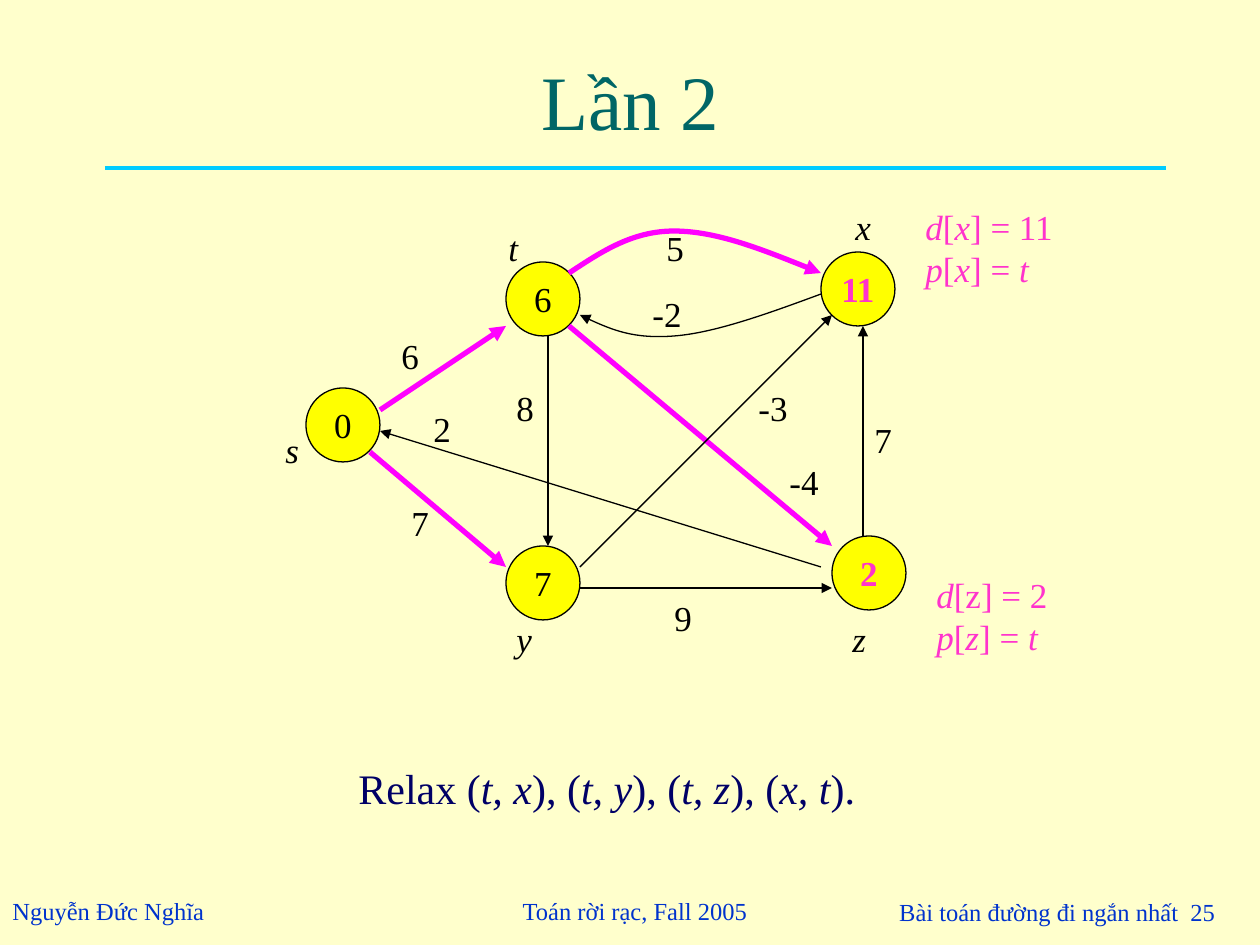
from lxml import etree
from pptx import Presentation
from pptx.dml.color import RGBColor
from pptx.enum.shapes import MSO_CONNECTOR as CONNECTOR, MSO_SHAPE as SHAPE
from pptx.enum.text import MSO_ANCHOR as ANCHOR, MSO_AUTO_SIZE as AUTO_SIZE, PP_ALIGN as ALIGN
from pptx.oxml.ns import qn
from pptx.util import Inches, Pt

PX = 914400 // 126
FONT = "Times New Roman"
CREAM = RGBColor(0xFF, 0xFF, 0xCC)
TEAL = RGBColor(0x00, 0x66, 0x66)
CYAN = RGBColor(0x00, 0xCC, 0xFF)
BLUE = RGBColor(0x00, 0x33, 0xCC)
NAVY = RGBColor(0x00, 0x00, 0x66)
YELLOW = RGBColor(0xFF, 0xFF, 0x00)
MAGENTA = RGBColor(0xFF, 0x00, 0xFF)
PINK = RGBColor(0xFF, 0x33, 0xCC)
BLACK = RGBColor(0x00, 0x00, 0x00)


def write(shape, text, size, colour, align=ALIGN.LEFT, anchor=ANCHOR.TOP, bold=False):
    """Fill a shape with text; parts between asterisks are italic."""
    frame = shape.text_frame
    frame.word_wrap = False
    frame.auto_size = AUTO_SIZE.NONE
    frame.vertical_anchor = anchor
    frame.text = text.replace("*", "")
    for para, line in zip(frame.paragraphs, text.split("\n")):
        para.text = ""
        para.alignment = align
        for index, part in enumerate(line.split("*")):
            if not part:
                continue
            span = para.add_run()
            span.text = part
            span.font.name = FONT
            span.font.size = Pt(size)
            span.font.color.rgb = colour
            span.font.bold = bold
            span.font.italic = index % 2 == 1


def stroke(shape, colour, width, arrow=None):
    """Style an edge; arrow is "headEnd" or "tailEnd"."""
    shape.line.color.rgb = colour
    shape.line.width = Pt(width)
    properties = shape.element.spPr
    if arrow:
        etree.SubElement(properties.find(qn("a:ln")), qn(f"a:{arrow}"), type="triangle")
    if properties.find(qn("a:effectLst")) is None:
        etree.SubElement(properties, qn("a:effectLst"))


deck = Presentation()
deck.slide_width, deck.slide_height = Inches(10), Inches(7.5)
page = deck.slides.add_slide(deck.slide_layouts[5])
page.background.fill.solid()
page.background.fill.fore_color.rgb = CREAM
shapes = page.shapes

# Title and rule
title = shapes.title
title.left, title.top, title.width, title.height = [v * PX for v in (95, 21, 1071, 158)]
write(title, "Lần 2", 44, TEAL, ALIGN.CENTER, ANCHOR.MIDDLE)
title.text_frame.word_wrap = True
rule = shapes.add_connector(CONNECTOR.STRAIGHT, *[v * PX for v in (105, 168, 1166, 168)])
stroke(rule, CYAN, 2.25)

# Vertices: left, top, distance, colour
for left, top, distance, colour in [
    (306, 388, "0", BLACK),
    (832, 536, "2", PINK),
    (506, 546, "7", BLACK),
    (821, 252, "11", PINK),
    (506, 262, "6", BLACK),
]:
    vertex = shapes.add_shape(SHAPE.OVAL, *[v * PX for v in (left, top, 74, 74)])
    vertex.shadow.inherit = False
    vertex.fill.solid()
    vertex.fill.fore_color.rgb = YELLOW
    vertex.line.color.rgb = BLACK
    vertex.line.width = Pt(0.75)
    write(vertex, distance, 20, colour, ALIGN.CENTER, ANCHOR.MIDDLE, colour == PINK)

# Straight edges; those of the current tree are thick
TREE, PLAIN = (MAGENTA, 3), (BLACK, 0.75)
for ends, style in [
    ((380, 410, 506, 326), TREE),
    ((370, 452, 506, 567), TREE),
    ((569, 326, 832, 546), TREE),
    ((580, 567, 832, 315), PLAIN),
    ((821, 567, 380, 431), PLAIN),
    ((580, 588, 832, 588), PLAIN),
    ((863, 536, 863, 326), PLAIN),
    ((548, 336, 548, 546), PLAIN),
]:
    edge = shapes.add_connector(CONNECTOR.STRAIGHT, *[v * PX for v in ends])
    stroke(edge, *style, "tailEnd")

# Curved edges between t and x: start point, then two cubic segments
for start, *controls, style, arrow in [
    ((569, 273), (601, 252), (632, 231), (674, 231),
     (716, 231), (769, 252), (821, 273), TREE, "tailEnd"),
    ((580, 315), (607, 328), (634, 339), (674, 336),
     (714, 333), (767, 314), (821, 294), PLAIN, "headEnd"),
]:
    builder = shapes.build_freeform(*start, scale=PX)
    builder.add_line_segments(controls, close=False)
    curve = builder.convert_to_shape()
    outline = next(curve.element.iter(qn("a:moveTo"))).getparent()
    segments = outline.findall(qn("a:lnTo"))
    for first in range(0, len(segments), 3):
        cubic = etree.SubElement(outline, qn("a:cubicBezTo"))
        for segment in segments[first:first + 3]:
            cubic.append(segment[0])
            outline.remove(segment)
    curve.fill.background()
    stroke(curve, *style, arrow)

# Edge weights and vertex names: left, top, width, text
for left, top, width, label in [
    (389, 328, 43, "6"), (504, 380, 43, "8"), (421, 401, 43, "2"),
    (399, 495, 43, "7"), (746, 380, 54, "-3"), (777, 454, 54, "-4"),
    (862, 412, 43, "7"), (662, 590, 43, "9"), (654, 220, 43, "5"),
    (640, 286, 54, "-2"), (273, 422, 39, "*s*"), (496, 220, 34, "*t*"),
    (504, 611, 40, "*y*"), (840, 611, 39, "*z*"), (843, 199, 40, "*x*"),
]:
    box = shapes.add_textbox(*[v * PX for v in (left, top, width, 55)])
    write(box, label, 20, BLACK)

# Relaxed edges and updated values
for place, text, size, colour in [
    ((346, 756, 522, 63), "Relax (*t, x*), (*t, y*), (*t, z*), (*x, t*).", 24, NAVY),
    ((913, 199, 154, 97), "*d*[*x*] = 11\n*p*[*x*] = *t*", 20, PINK),
    ((924, 567, 136, 97), "*d*[z] = 2\n*p*[*z*] = *t*", 20, PINK),
]:
    box = shapes.add_textbox(*[v * PX for v in place])
    write(box, text, size, colour)

# Footer
for place, text, align, anchor in [
    ((0, 890, 217, 43), "Nguyễn Đức Nghĩa", ALIGN.LEFT, ANCHOR.TOP),
    ((504, 879, 262, 63), "Toán rời rạc, Fall 2005", ALIGN.CENTER, ANCHOR.MIDDLE),
    ((1102, 885, 126, 53), "Bài toán đường đi ngắn nhất  25", ALIGN.RIGHT, ANCHOR.MIDDLE),
]:
    box = shapes.add_textbox(*[v * PX for v in place])
    write(box, text, 14, BLUE, align, anchor)

deck.save("out.pptx")
